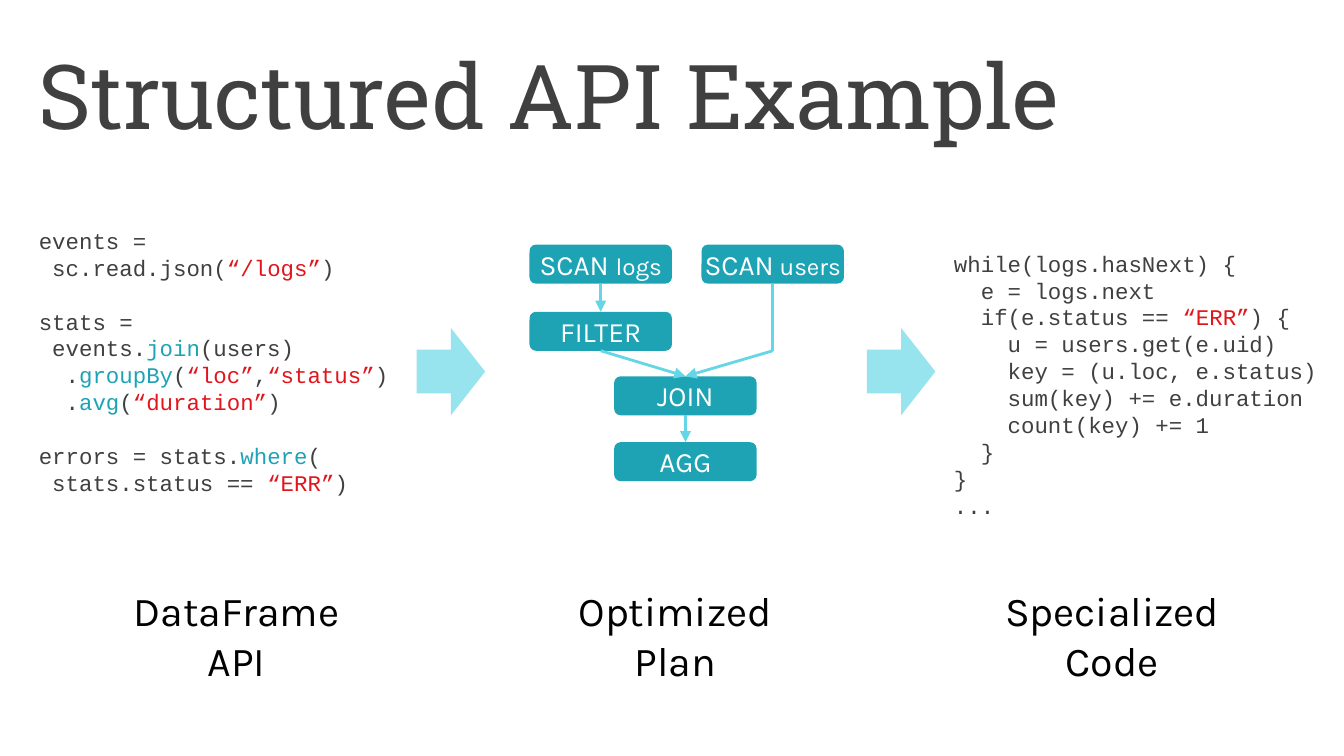
from dataclasses import dataclass

from lxml import etree
from pptx import Presentation
from pptx import util as u
from pptx.dml.color import RGBColor
from pptx.enum import shapes, text
from pptx.oxml import ns

EMU_PER_PX = 4572  # 200 px to the inch
TOP, BOTTOM = 0, 2
NODE_WIDTH, NODE_HEIGHT = 212, 58


@dataclass(frozen=True)
class Theme:
    ink: str = "404040"
    caption: str = "000000"
    call: str = "1EA3B5"
    quote: str = "E2151C"
    node: str = "1EA3B5"
    node_text: str = "FFFFFF"
    link: str = "65D6E5"
    step: str = "98E4EE"
    title_font: str = "Roboto Slab"
    body_font: str = "Karla"
    code_font: str = "Courier New"
    title_size: int = 48
    caption_size: int = 22
    node_size: int = 15
    detail_size: int = 13
    code_size: int = 12
    code_pitch: float = 14.4
    link_width: float = 1.5


THEME = Theme()


def px(*lengths):
    return [u.Emu(length * EMU_PER_PX) for length in lengths]


def add_span(para, words, font, size, colour):
    span = para.add_run()
    span.text = words
    span.font.name = font
    span.font.size = u.Pt(size)
    span.font.color.rgb = RGBColor.from_string(colour)


def add_frame(page, bounds):
    frame = page.shapes.add_textbox(*px(*bounds)).text_frame
    frame.word_wrap = True
    return frame


def add_title(page, words, bounds):
    frame = add_frame(page, bounds)
    frame.vertical_anchor = text.MSO_ANCHOR.MIDDLE
    add_span(frame.paragraphs[0], words, THEME.title_font, THEME.title_size, THEME.ink)


def add_caption(page, words, bounds):
    frame = add_frame(page, bounds)
    frame.auto_size = text.MSO_AUTO_SIZE.SHAPE_TO_FIT_TEXT
    para = frame.paragraphs[0]
    para.alignment = text.PP_ALIGN.CENTER
    add_span(para, words, THEME.body_font, THEME.caption_size, THEME.caption)


def add_code(page, blocks, bounds):
    """Set blocks of code lines, with one line of space between blocks."""
    frame = add_frame(page, bounds)
    para = frame.paragraphs[0]
    for block_index, block in enumerate(blocks):
        for line_index, line in enumerate(block):
            if block_index or line_index:
                para = frame.add_paragraph()
            para.line_spacing = u.Pt(THEME.code_pitch)
            starts_block = block_index and not line_index
            para.space_before = u.Pt(THEME.code_pitch if starts_block else 0)
            for part in line:
                if part == "\n":
                    para.add_line_break()
                    continue
                words, role = (part, "ink") if isinstance(part, str) else part
                add_span(para, words, THEME.code_font, THEME.code_size, getattr(THEME, role))


def add_filled_shape(page, kind, bounds, colour):
    shape = page.shapes.add_shape(kind, *px(*bounds))
    shape.shadow.inherit = False
    shape.fill.solid()
    shape.fill.fore_color.rgb = RGBColor.from_string(colour)
    shape.line.fill.background()
    return shape


def add_node(page, left, top, operation, detail=""):
    node = add_filled_shape(page, shapes.MSO_SHAPE.ROUNDED_RECTANGLE,
                            (left, top, NODE_WIDTH, NODE_HEIGHT), THEME.node)
    frame = node.text_frame
    frame.margin_left = frame.margin_right = frame.margin_top = frame.margin_bottom = 0
    frame.vertical_anchor = text.MSO_ANCHOR.MIDDLE
    para = frame.paragraphs[0]
    para.alignment = text.PP_ALIGN.CENTER
    add_span(para, operation, THEME.body_font, THEME.node_size, THEME.node_text)
    if detail:
        add_span(para, detail, THEME.body_font, THEME.detail_size, THEME.node_text)
    return node


def add_link(page, start, end, arrow=True):
    """Link two ends, each a node or a point; nodes join bottom to top."""
    points = [end_point if isinstance(end_point, tuple) else (0, 0)
              for end_point in (start, end)]
    link = page.shapes.add_connector(shapes.MSO_CONNECTOR.STRAIGHT,
                                     *px(*points[0], *points[1]))
    if not isinstance(start, tuple):
        link.begin_connect(start, BOTTOM)
    if not isinstance(end, tuple):
        link.end_connect(end, TOP)
    link.line.color.rgb = RGBColor.from_string(THEME.link)
    link.line.width = u.Pt(THEME.link_width)
    if arrow:
        etree.SubElement(link.line._get_or_add_ln(), ns.qn("a:tailEnd"), type="triangle")
    etree.SubElement(link._element.spPr, ns.qn("a:effectLst"))


def add_plan(page):
    left, middle, right = 788, 914, 1044
    scan_logs = add_node(page, left, 364, "SCAN ", "logs")
    scan_users = add_node(page, right, 364, "SCAN", " users")
    filter_node = add_node(page, left, 464, "FILTER")
    join = add_node(page, middle, 560, "JOIN")
    aggregate = add_node(page, middle, 658, "AGG")
    elbow = (right + NODE_WIDTH // 2, 464 + NODE_HEIGHT)
    add_link(page, scan_logs, filter_node)
    add_link(page, filter_node, join)
    add_link(page, scan_users, elbow, arrow=False)
    add_link(page, elbow, join)
    add_link(page, join, aggregate)


def main():
    deck = Presentation()
    deck.slide_width, deck.slide_height = px(2000, 1125)
    page = deck.slides.add_slide(deck.slide_layouts[6])

    add_title(page, "Structured API Example", (38, 46, 1936, 188))

    dataframe_code = [
        [["events =", "\n", " sc.read.json(", ("“/logs”", "quote"), ")"]],
        [["stats ="],
         [" events.", ("join", "call"), "(users)"],
         ["  .", ("groupBy", "call"), "(", ("“loc”", "quote"), ",",
          ("“status”", "quote"), ")"],
         ["  .", ("avg", "call"), "(", ("“duration”", "quote"), ")"]],
        [["errors = stats.", ("where", "call"), "("],
         [" stats.status == ", ("“ERR”", "quote"), ")"]],
    ]
    specialized_code = [[
        ["while(logs.hasNext) {"],
        ["  e = logs.next"],
        ["  if(e.status == ", ("“ERR”", "quote"), ") {"],
        ["    u = users.get(e.uid)"],
        ["    key = (u.loc, e.status)"],
        ["    sum(key) += e.duration"],
        ["    count(key) += 1"],
        ["  }"],
        ["}"],
        ["..."],
    ]]
    add_code(page, dataframe_code, (38, 328, 624, 424))
    add_plan(page)
    add_code(page, specialized_code, (1400, 362, 600, 374))

    for left in (620, 1290):
        add_filled_shape(page, shapes.MSO_SHAPE.RIGHT_ARROW, (left, 488, 102, 130), THEME.step)

    for words, left, width in (("DataFrame API", 146, 412),
                               ("Optimized Plan", 792, 426),
                               ("Specialized Code", 1420, 470)):
        add_caption(page, words, (left, 862, width, 94))

    deck.save("out.pptx")


if __name__ == "__main__":
    main()
